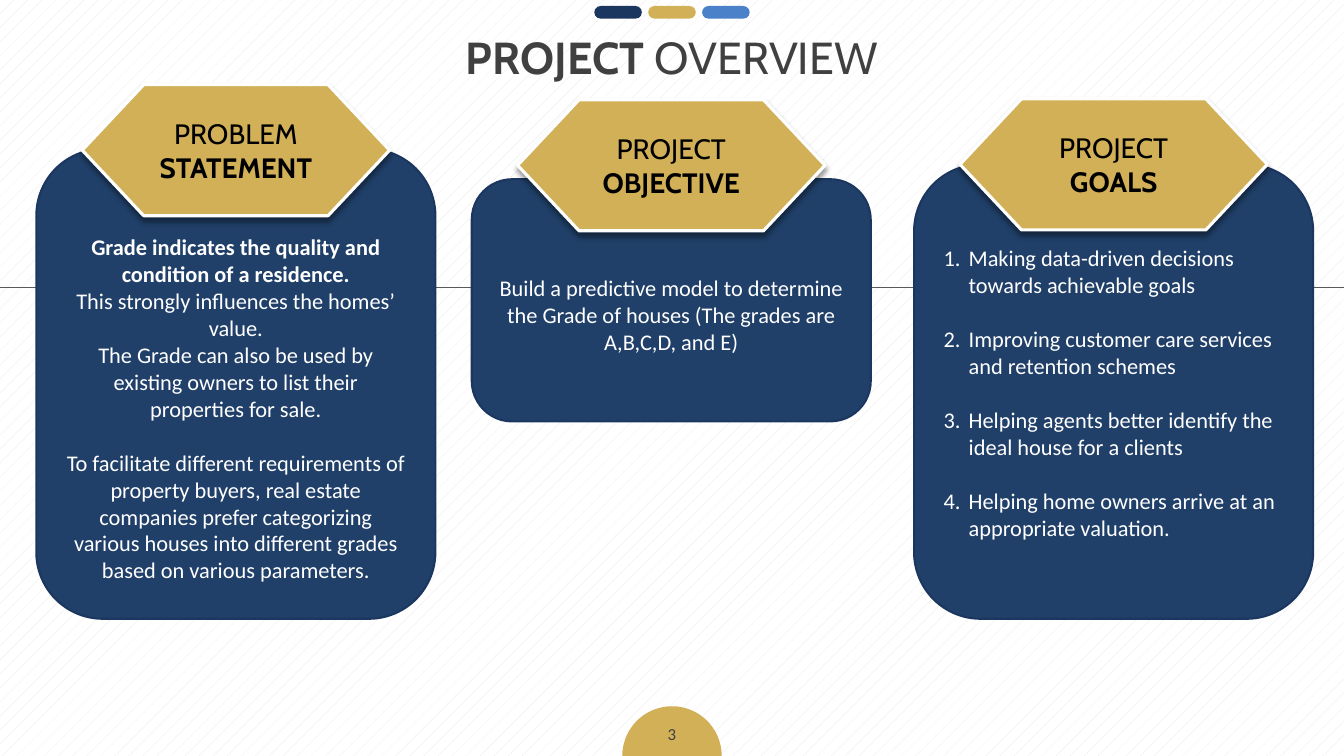
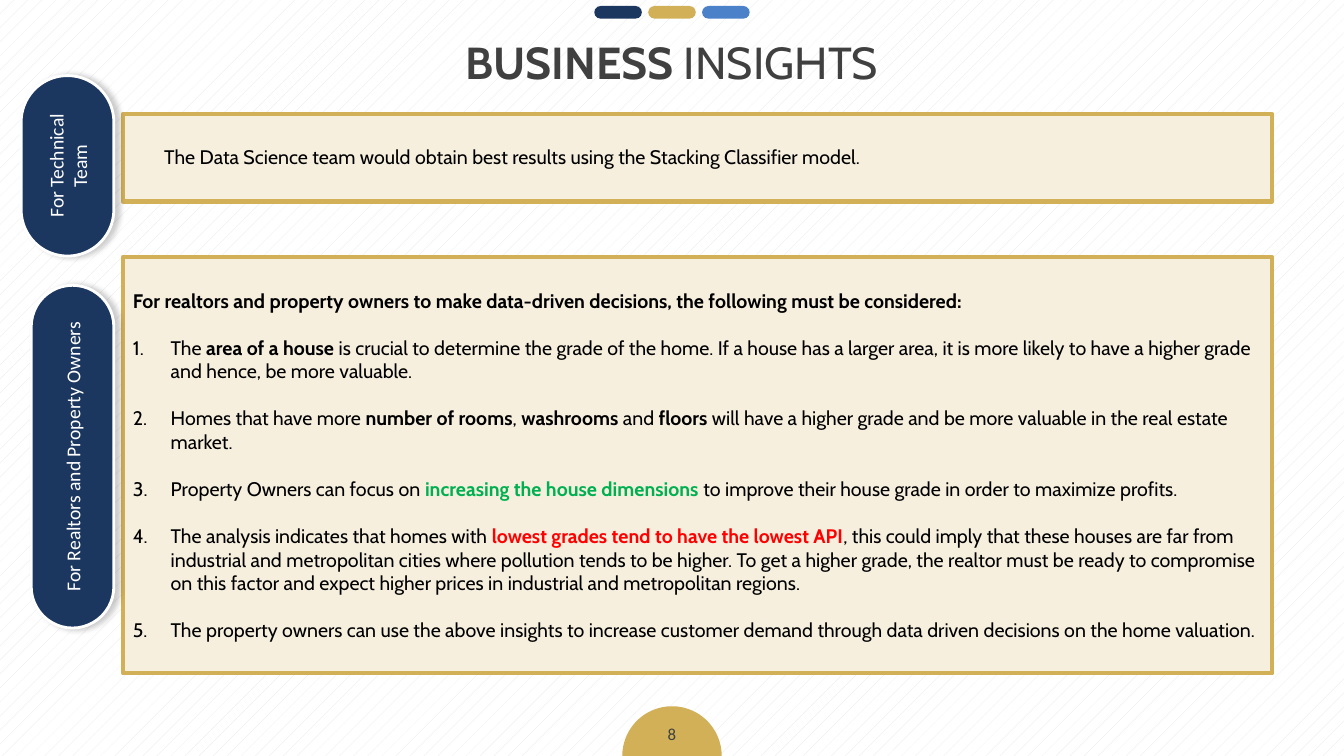
from dataclasses import dataclass
from math import cos, pi, sin

from lxml.etree import SubElement
from pptx import Presentation
from pptx.dml.color import RGBColor
from pptx.enum.dml import MSO_PATTERN
from pptx.enum.shapes import MSO_CONNECTOR, MSO_SHAPE
from pptx.enum.text import MSO_ANCHOR as Anchor, PP_ALIGN as Align
from pptx.oxml.ns import qn
from pptx.util import Pt


@dataclass(frozen=True)
class Theme:
    navy: str = "1C375F"
    panel: str = "204069"
    gold: str = "D1B058"
    blue: str = "4A81C8"
    cream: str = "F6EFDE"
    white: str = "FFFFFF"
    black: str = "000000"
    ink: str = "404040"
    rule: str = "595959"
    stripe: str = "E7E6E6"
    green: str = "00B050"
    red: str = "FF0000"
    heading_font: str = "Cabin"
    body_font: str = "Calibri"
    title_size: int = 32
    badge_size: int = 20
    card_size: int = 16
    note_size: int = 14
    number_size: int = 12


THEME = Theme()
WIDTH, HEIGHT = 960, 540


def rgb(value):
    return RGBColor.from_string(value)


# Shared building blocks
def style_shape(shape, fill, line=None, line_width=1):
    shape.shadow.inherit = False
    shape.fill.solid()
    shape.fill.fore_color.rgb = rgb(fill)
    if line:
        shape.line.color.rgb = rgb(line)
        shape.line.width = Pt(line_width)
    else:
        shape.line.fill.background()


def add_box(slide, kind, box, fill, line=None, line_width=1, corner=None):
    shape = slide.shapes.add_shape(kind, *map(Pt, box))
    style_shape(shape, fill, line, line_width)
    if corner is not None:
        shape.adjustments[0] = corner
    shape.text_frame.word_wrap = True
    shape.text_frame.vertical_anchor = Anchor.MIDDLE
    return shape


def add_shadow(shape, opacity, degrees):
    effects = shape._element.spPr.find(qn("a:effectLst"))
    shadow = SubElement(effects, qn("a:outerShdw"), blurRad=str(Pt(4)),
                        dist=str(Pt(3)), dir=str(degrees * 60000),
                        algn="ctr", rotWithShape="0")
    colour = SubElement(shadow, qn("a:srgbClr"), val=THEME.black)
    SubElement(colour, qn("a:alpha"), val=str(opacity * 1000))


def add_text_box(slide, box, anchor=Anchor.TOP):
    frame = slide.shapes.add_textbox(*map(Pt, box)).text_frame
    frame.word_wrap = True
    frame.vertical_anchor = anchor
    frame.margin_left = frame.margin_right = 0
    frame.margin_top = frame.margin_bottom = 0
    return frame


def write(frame, runs, font, size, colour, align=Align.LEFT, before=0, indent=0):
    """Add a paragraph of (text, bold, own colour) runs; an indent numbers it."""
    paragraph = frame.paragraphs[0]
    if paragraph.runs:
        paragraph = frame.add_paragraph()
        paragraph.space_before = Pt(before)
    paragraph.alignment = align
    if indent:
        properties = paragraph._p.get_or_add_pPr()
        properties.set("marL", str(Pt(indent)))
        properties.set("indent", str(-Pt(indent)))
        SubElement(properties, qn("a:buFont"), typeface="+mj-lt")
        SubElement(properties, qn("a:buAutoNum"), type="arabicPeriod")
    paragraph.font.name = font
    paragraph.font.size = Pt(size)
    paragraph.font.color.rgb = rgb(colour)
    for text, bold, own_colour in runs:
        run = paragraph.add_run()
        run.text = text
        run.font.bold = bold
        if own_colour:
            run.font.color.rgb = rgb(own_colour)
    return paragraph


def plain(text):
    return text, False, None


def strong(text, colour=None):
    return text, True, colour


# Parts on every slide
def add_frame(slide, number):
    bar_width, pitch = 34, 38.5
    left = (WIDTH - bar_width - 2 * pitch) / 2
    for index, colour in enumerate((THEME.navy, THEME.gold, THEME.blue)):
        add_box(slide, MSO_SHAPE.ROUNDED_RECTANGLE,
                (left + index * pitch, 4.3, bar_width, 9), colour, corner=0.5)

    radius, steps = 35.5, 60
    arc = [(Pt(WIDTH / 2 - radius * cos(pi * step / steps)),
            Pt(HEIGHT - radius * sin(pi * step / steps)))
           for step in range(steps + 1)]
    builder = slide.shapes.build_freeform(*arc[0])
    builder.add_line_segments(arc[1:], close=True)
    style_shape(builder.convert_to_shape(), THEME.gold)
    frame = add_text_box(slide, (372, 517, 216, 14.4), Anchor.MIDDLE)
    write(frame, [plain(str(number))], THEME.body_font, THEME.number_size,
          THEME.ink, Align.CENTER)


def add_title(slide, bold_text, light_text, top):
    frame = add_text_box(slide, (66, top, 828, 34.6))
    paragraph = write(frame, [strong(bold_text), plain(light_text)],
                      THEME.heading_font, THEME.title_size, THEME.ink, Align.CENTER)
    paragraph.line_spacing = 0.9


# Overview: cards with a badge on the upper edge
def add_card(slide, box, badge_top, heading, text_top, paragraphs, numbered=False):
    left, top, width, height = box
    card = add_box(slide, MSO_SHAPE.ROUNDED_RECTANGLE, box, THEME.panel,
                   THEME.navy, 1.5)
    frame = card.text_frame
    frame.vertical_anchor = Anchor.TOP
    frame.margin_top = Pt(text_top)
    for before, runs in paragraphs:
        write(frame, runs, THEME.body_font, THEME.card_size, THEME.white,
              Align.LEFT if numbered else Align.CENTER, before,
              18 if numbered else 0)

    badge_width, badge_height = 219.6, 93.6
    badge = add_box(slide, MSO_SHAPE.FLOWCHART_PREPARATION,
                    (left + (width - badge_width) / 2, top + badge_top,
                     badge_width, badge_height), THEME.gold, THEME.white, 2.25)
    add_shadow(badge, 40, 90)
    for run in (plain(heading[0]), strong(heading[1])):
        write(badge.text_frame, [run], THEME.heading_font, THEME.badge_size,
              THEME.black, Align.CENTER)


def build_overview(slide):
    add_frame(slide, 3)
    line = slide.shapes.add_connector(MSO_CONNECTOR.STRAIGHT, 0, Pt(205),
                                      Pt(WIDTH), Pt(205))
    line.line.color.rgb = rgb(THEME.rule)
    line.line.width = Pt(0.5)
    SubElement(line._element.spPr, qn("a:effectLst"))
    add_title(slide, "PROJECT", " OVERVIEW", 25.2)

    gap = 19.5
    add_card(slide, (26, 106.5, 285, 335.5), -46, ("PROBLEM", "STATEMENT"), 46.5, [
        (0, [strong("Grade indicates the quality and condition of a residence.")]),
        (0, [plain("This strongly influences the homes’ value.")]),
        (0, [plain("The Grade can also be used by existing owners to list their "
                   "properties for sale.")]),
        (gap, [plain("To facilitate different requirements of property buyers, real "
                     "estate companies prefer categorizing various houses into "
                     "different grades based on various parameters.")]),
    ])
    add_card(slide, (337, 128, 285, 173), -56.7, ("PROJECT", "OBJECTIVE"), 59.6, [
        (0, [plain("Build a predictive model to determine the Grade of houses "
                   "(The grades are A,B,C,D, and E)")]),
    ])
    goals = ["Making data-driven decisions towards achievable goals",
             "Improving customer care services and retention schemes",
             "Helping agents better identify the ideal house for a clients",
             "Helping home owners arrive at an appropriate valuation."]
    add_card(slide, (653, 117.5, 285, 324.5), -46.9, ("PROJECT", "GOALS"), 43,
             [(gap, [plain(goal)]) for goal in goals], numbered=True)


# Insights: framed panels with a side tab
def add_panel(slide, box):
    return add_box(slide, MSO_SHAPE.RECTANGLE, box, THEME.cream, THEME.gold, 3).text_frame


def add_tab(slide, box, label):
    tab = add_box(slide, MSO_SHAPE.ROUNDED_RECTANGLE, box, THEME.navy,
                  THEME.white, 2, corner=0.5)
    add_shadow(tab, 20, 0)
    tab.text_frame._txBody.bodyPr.set("vert", "vert270")
    write(tab.text_frame, [plain(label)], THEME.body_font, THEME.note_size,
          THEME.white, Align.CENTER)


def build_insights(slide):
    add_frame(slide, 8)
    add_title(slide, "BUSINESS ", "INSIGHTS", 28.8)
    note_style = THEME.heading_font, THEME.note_size, THEME.black

    technical = add_panel(slide, (87.8, 81.4, 821, 62.6))
    technical.margin_left = Pt(29.5)
    technical.margin_bottom = Pt(5.5)
    write(technical, [plain("The Data Science team would obtain best results using "
                            "the Stacking Classifier model.")], *note_style)

    realtors = add_panel(slide, (87.8, 183.6, 821, 297.4))
    write(realtors, [strong("For realtors and property owners to make data-driven "
                            "decisions, the following must be considered:")], *note_style)
    insights = [
        [plain("The "), strong("area of a house "),
         plain("is crucial to determine the grade of the home. If a house has a larger "
               "area, it is more likely to have a higher grade and hence, be more "
               "valuable.")],
        [plain("Homes that have more "), strong("number of rooms"), plain(", "),
         strong("washrooms"), plain(" and "), strong("floors"),
         plain(" will have a higher grade and be more valuable in the real estate "
               "market.")],
        [plain("Property Owners can focus on "),
         strong("increasing the house dimensions ", THEME.green),
         plain("to improve their house grade in order to maximize profits.")],
        [plain("The analysis indicates that homes with "),
         strong("lowest grades tend to have the lowest API", THEME.red),
         plain(", this could imply that these houses are far from industrial and "
               "metropolitan cities where pollution tends to be higher. To get a higher "
               "grade, the realtor must be ready to compromise on this factor and "
               "expect higher prices in industrial and metropolitan regions.")],
        [plain("The property owners can use the above insights to increase customer "
               "demand through data driven decisions on the home valuation.")],
    ]
    for runs in insights:
        write(realtors, runs, *note_style, before=16.8, indent=27)

    add_tab(slide, (15.1, 54, 66.2, 128.9), "For Technical Team")
    add_tab(slide, (22.3, 203.8, 59, 244.8), "For Realtors and Property Owners")


def main():
    presentation = Presentation()
    presentation.slide_width, presentation.slide_height = Pt(WIDTH), Pt(HEIGHT)
    background = presentation.slide_master.background.fill
    background.patterned()
    background.pattern = MSO_PATTERN.PERCENT_5
    background.fore_color.rgb = rgb(THEME.stripe)
    background.back_color.rgb = rgb(THEME.white)
    for build in (build_overview, build_insights):
        build(presentation.slides.add_slide(presentation.slide_layouts[6]))
    presentation.save("out.pptx")


if __name__ == "__main__":
    main()
